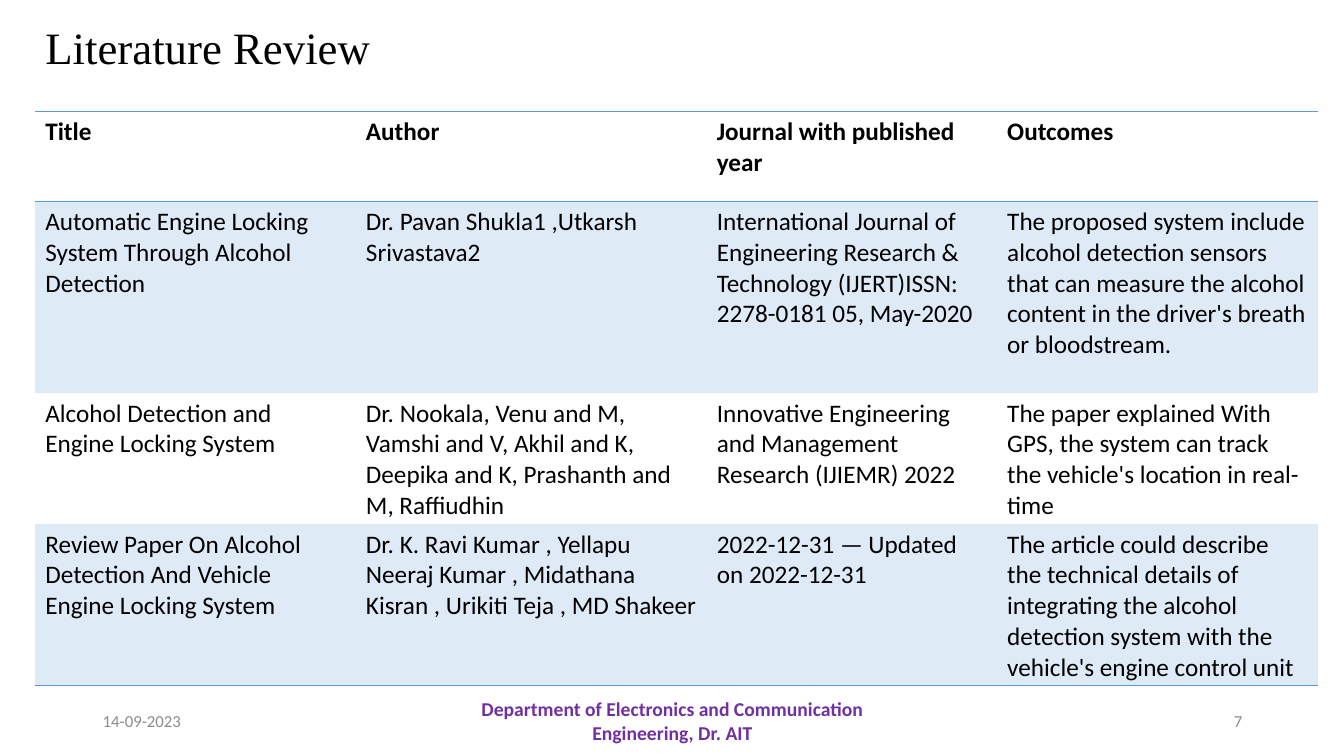
from dataclasses import dataclass

from lxml.etree import SubElement
from pptx import Presentation
from pptx.dml.color import RGBColor
from pptx.enum.text import MSO_ANCHOR as Anchor, MSO_AUTO_SIZE as AutoSize, PP_ALIGN as Align
from pptx.oxml.ns import qn
from pptx.slide import Slide
from pptx.table import Table, _Cell as Cell
from pptx.text.text import TextFrame
from pptx.util import Inches, Pt

BLACK, GREY, PURPLE = "000000", "8C8C8C", "7030A0"
RULE_COLOUR, BAND_COLOUR = "5B9BD5", "DEEBF7"
NO_STYLE_NO_GRID = "{2D5ABB26-0587-4C30-8999-92F81FD0307C}"


@dataclass
class FooterPart:
    text: str
    left: float
    width: float
    align: Align
    size: int = 12
    colour: str = GREY
    bold: bool = False


@dataclass
class Paper:
    title: str
    author: str
    journal: str
    outcome: str
    height: float

    def cells(self) -> list[str]:
        return [self.title, self.author, self.journal, self.outcome]


FOOTER = [
    FooterPart("14-09-2023", 0.92, 3, Align.LEFT),
    FooterPart("Department of Electronics and Communication Engineering, Dr. AIT",
               4.42, 4.5, Align.CENTER, 14, PURPLE, True),
    FooterPart("7", 9.42, 3, Align.RIGHT),
]

COLUMN_WIDTHS = [3.18, 3.48, 2.88, 3.18]
HEADING = Paper("Title", "Author", "Journal with published year", "Outcomes", 0.89)
PAPERS = [
    Paper(
        "Automatic Engine Locking System Through Alcohol Detection",
        "Dr. Pavan Shukla1 ,Utkarsh Srivastava2",
        "International Journal of Engineering Research & Technology (IJERT)ISSN: "
        "2278-0181 05, May-2020",
        "The proposed system include alcohol detection sensors that can measure "
        "the alcohol content in the driver's breath or bloodstream.",
        1.9,
    ),
    Paper(
        "Alcohol Detection and Engine Locking System",
        "Dr. Nookala, Venu and M, Vamshi and V, Akhil and K, Deepika and K, "
        "Prashanth and M, Raffiudhin",
        "Innovative Engineering and Management Research (IJIEMR) 2022",
        "The paper explained With GPS, the system can track the vehicle's "
        "location in real-time",
        1.3,
    ),
    Paper(
        "Review Paper On Alcohol Detection And Vehicle Engine Locking System",
        "Dr. K. Ravi Kumar , Yellapu Neeraj Kumar , Midathana Kisran , "
        "Urikiti Teja , MD Shakeer",
        "2022-12-31 — Updated on 2022-12-31",
        "The article could describe the technical details of integrating the "
        "alcohol detection system with the vehicle's engine control unit",
        1.6,
    ),
]


def rgb(colour: str) -> RGBColor:
    return RGBColor.from_string(colour)


def write(frame: TextFrame, text: str, *, size: int = 18, font: str = "Calibri",
          colour: str = BLACK, bold: bool = False, align: Align = Align.LEFT) -> None:
    para = frame.paragraphs[0]
    para.alignment = align
    span = para.add_run()
    span.text = text
    span.font.size = Pt(size)
    span.font.name = font
    span.font.bold = bold
    span.font.color.rgb = rgb(colour)


def add_title(page: Slide) -> None:
    title = page.shapes.title
    title.left, title.top = Inches(0.35), Inches(0.15)
    title.width, title.height = Inches(8.37), Inches(0.64)
    frame = title.text_frame
    frame.word_wrap = True
    frame.auto_size = AutoSize.SHAPE_TO_FIT_TEXT
    frame.vertical_anchor = Anchor.TOP
    write(frame, "Literature Review", size=32, font="Times New Roman", align=Align.JUSTIFY)


def add_footer_part(page: Slide, part: FooterPart) -> None:
    box = page.shapes.add_textbox(Inches(part.left), Inches(6.95),
                                  Inches(part.width), Inches(0.4))
    frame = box.text_frame
    frame.word_wrap = True
    frame.vertical_anchor = Anchor.MIDDLE
    write(frame, part.text, size=part.size, colour=part.colour,
          bold=part.bold, align=part.align)


def add_rules(cell: Cell, edges: list[str]) -> None:
    """Draw a thin line on each named edge; call before filling the cell."""
    properties = cell._tc.get_or_add_tcPr()
    for edge in edges:
        line = SubElement(properties, qn(f"a:{edge}"), w=str(Pt(1)))
        fill = SubElement(line, qn("a:solidFill"))
        SubElement(fill, qn("a:srgbClr"), val=RULE_COLOUR)


def fill_row(table: Table, index: int, paper: Paper) -> None:
    is_heading = index == 0
    is_last = index == len(PAPERS)
    edges = ["lnT", "lnB"] if is_heading else ["lnB"] if is_last else []
    table.rows[index].height = Inches(paper.height)
    for column, text in enumerate(paper.cells()):
        cell = table.cell(index, column)
        add_rules(cell, edges)
        if index % 2:
            cell.fill.solid()
            cell.fill.fore_color.rgb = rgb(BAND_COLOUR)
        else:
            cell.fill.background()
        write(cell.text_frame, text, bold=is_heading)


def add_review_table(page: Slide) -> None:
    rows = [HEADING, *PAPERS]
    frame = page.shapes.add_table(
        len(rows), len(COLUMN_WIDTHS), Inches(0.35), Inches(1.11),
        Inches(sum(COLUMN_WIDTHS)), Inches(sum(row.height for row in rows)))
    table = frame.table
    table.first_row = table.horz_banding = False
    table._tbl.tblPr.find(qn("a:tableStyleId")).text = NO_STYLE_NO_GRID
    for column, width in zip(table.columns, COLUMN_WIDTHS):
        column.width = Inches(width)
    for index, paper in enumerate(rows):
        fill_row(table, index, paper)


def main() -> None:
    deck = Presentation()
    deck.slide_width, deck.slide_height = Inches(13.33), Inches(7.5)
    page = deck.slides.add_slide(deck.slide_layouts[5])
    add_title(page)
    for part in FOOTER:
        add_footer_part(page, part)
    add_review_table(page)
    deck.save("out.pptx")


if __name__ == "__main__":
    main()
